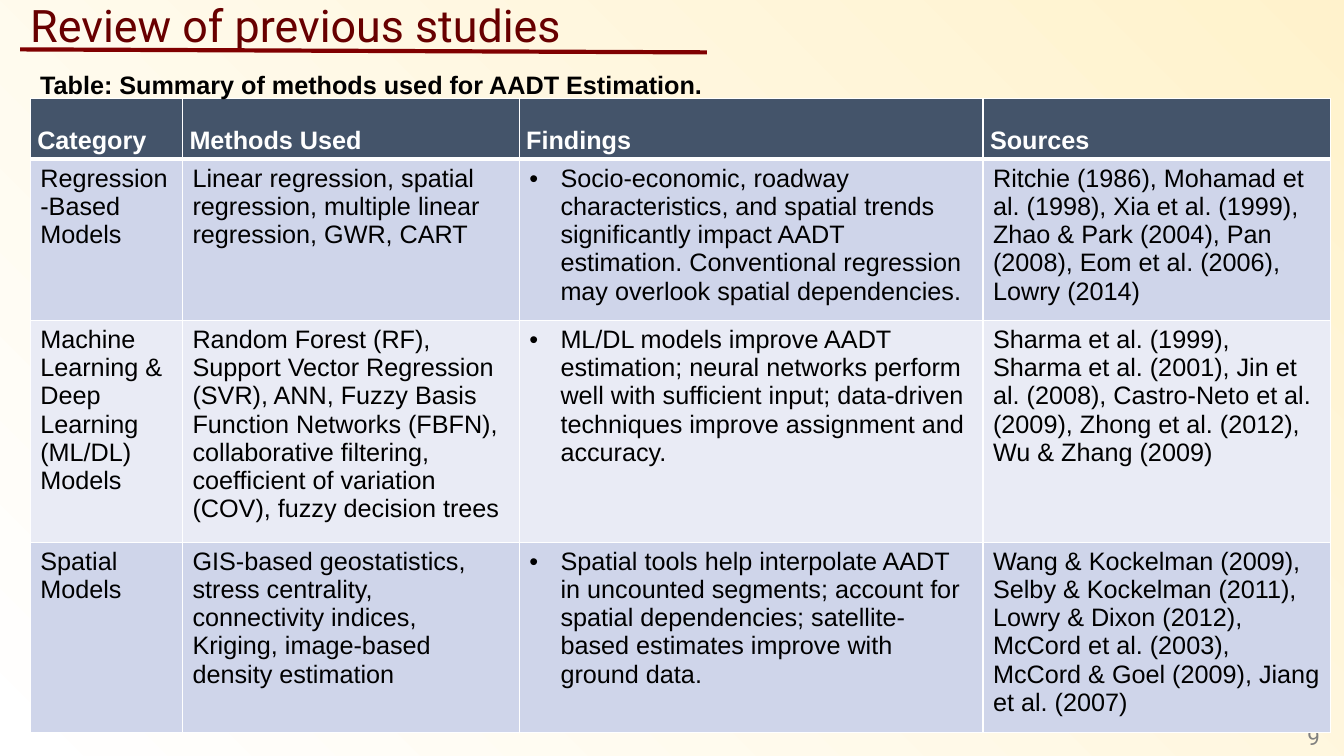
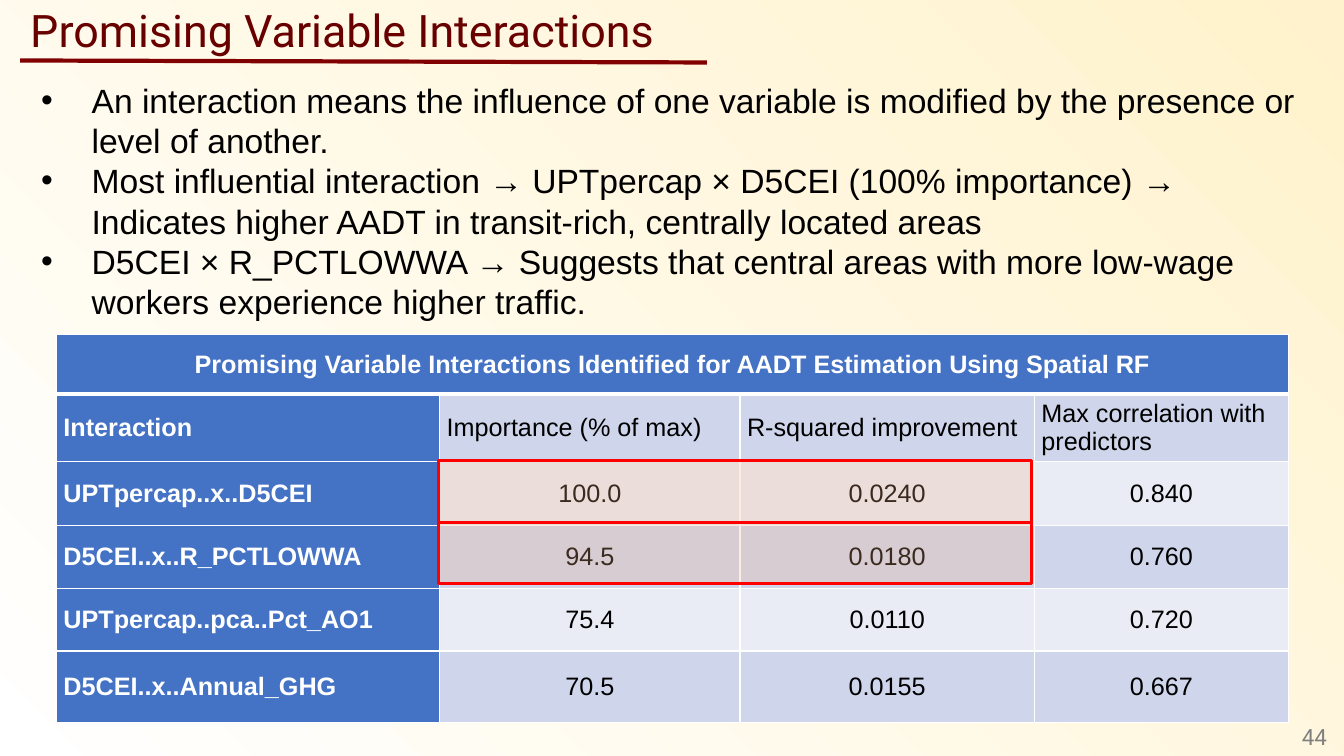
from dataclasses import dataclass

from lxml import etree
from pptx import Presentation
from pptx.dml.color import RGBColor
from pptx.enum.shapes import MSO_CONNECTOR, MSO_SHAPE
from pptx.enum.text import MSO_ANCHOR, MSO_AUTO_SIZE, PP_ALIGN
from pptx.oxml.ns import qn
from pptx.presentation import Presentation as Deck
from pptx.slide import Slide
from pptx.table import Table, _Cell
from pptx.text.text import TextFrame, _Paragraph
from pptx.util import Emu, Pt

LEFT, CENTER, RIGHT = PP_ALIGN.LEFT, PP_ALIGN.CENTER, PP_ALIGN.RIGHT
TOP, MIDDLE = MSO_ANCHOR.TOP, MSO_ANCHOR.MIDDLE
NO_AUTOFIT = MSO_AUTO_SIZE.NONE
STRAIGHT, RECTANGLE = MSO_CONNECTOR.STRAIGHT, MSO_SHAPE.RECTANGLE

EMU_PER_PX = 9144
TITLE_ONLY = 5
BODY_FONT, TITLE_FONT = "Arial", "Roboto"
COLORS = {
    "cream": "FFF2CC", "white": "FFFFFF", "black": "000000", "title": "680000",
    "rule": "800000", "number": "808080", "slate": "44546A", "blue": "4472C4",
    "band_dark": "CFD5EA", "band_light": "E9EBF5", "highlight": "F4B183", "red": "FF0000",
}


@dataclass(frozen=True)
class Box:
    left: int
    top: int
    width: int
    height: int

    def emu(self) -> tuple[Emu, ...]:
        return tuple(px(value) for value in (self.left, self.top, self.width, self.height))


@dataclass(frozen=True)
class TextStyle:
    size: int = 18
    color: str = "black"
    font: str = BODY_FONT
    bold: bool = False
    align: PP_ALIGN = LEFT
    spacing: float = 1.0


@dataclass(frozen=True)
class Frame:
    title: str
    title_top: int
    rule_top: int
    rule_drop: int
    number: str
    number_box: Box


TITLE = TextStyle(32, "title", TITLE_FONT)
NUMBER = TextStyle(16, "number", TITLE_FONT, align=RIGHT)
CAPTION = TextStyle(bold=True, spacing=2.0)
BULLETS = TextStyle(24)
CELL = TextStyle()
VALUE = TextStyle(align=CENTER)
LABEL = TextStyle(color="white", bold=True)
BANNER = TextStyle(color="white", bold=True, align=CENTER)
TALL_LABEL = TextStyle(color="white", bold=True, spacing=2.0)

REVIEW = Frame("Review of previous studies", -7, 49, 3, "9", Box(1262, 717, 57, 28))
INTERACTIONS = Frame("Promising Variable Interactions", -2, 60, 2, "44", Box(1269, 711, 57, 40))

STUDY_ROWS = [
    ("Category", "Methods Used", "Findings", "Sources"),
    ("Regression-Based Models",
     "Linear regression, spatial regression, multiple linear regression, GWR, CART",
     "Socio-economic, roadway characteristics, and spatial trends significantly impact AADT "
     "estimation. Conventional regression may overlook spatial dependencies.",
     "Ritchie (1986), Mohamad et al. (1998), Xia et al. (1999), Zhao & Park (2004), "
     "Pan (2008), Eom et al. (2006), Lowry (2014)"),
    ("Machine Learning & Deep Learning (ML/DL) Models",
     "Random Forest (RF), Support Vector Regression (SVR), ANN, Fuzzy Basis Function Networks "
     "(FBFN), collaborative filtering, coefficient of variation (COV), fuzzy decision trees",
     "ML/DL models improve AADT estimation; neural networks perform well with sufficient input; "
     "data-driven techniques improve assignment and accuracy.",
     "Sharma et al. (1999), Sharma et al. (2001), Jin et al. (2008), Castro-Neto et al. (2009), "
     "Zhong et al. (2012), Wu & Zhang (2009)"),
    ("Spatial Models",
     "GIS-based geostatistics, stress centrality, connectivity indices, Kriging, "
     "image-based density estimation",
     "Spatial tools help interpolate AADT in uncounted segments; account for spatial "
     "dependencies; satellite-based estimates improve with ground data.",
     "Wang & Kockelman (2009), Selby & Kockelman (2011), Lowry & Dixon (2012), "
     "McCord et al. (2003), McCord & Goel (2009), Jiang et al. (2007)"),
]
INTERACTION_ROWS = [
    ("Promising Variable Interactions Identified for AADT Estimation Using Spatial RF", "", "", ""),
    ("Interaction", "Importance (% of max)", "R-squared improvement",
     "Max correlation with predictors"),
    ("UPTpercap..x..D5CEI", "100.0", "0.0240", "0.840"),
    ("D5CEI..x..R_PCTLOWWA", "94.5", "0.0180", "0.760"),
    ("UPTpercap..pca..Pct_AO1", "75.4", "0.0110", "0.720"),
    ("D5CEI..x..Annual_GHG", "70.5", "0.0155", "0.667"),
]
INTERACTION_BULLETS = [
    ("An interaction means the influence of one variable is modified by the presence or level "
     "of another.",),
    ("Most influential interaction → UPTpercap × D5CEI (100% importance) ", "→",
     " Indicates higher AADT in transit-rich, centrally located areas"),
    ("D5CEI × R_PCTLOWWA → Suggests that central areas with more low-wage workers experience "
     "higher traffic.",),
]


def px(value: int) -> Emu:
    return Emu(value * EMU_PER_PX)


def rgb(name: str) -> RGBColor:
    return RGBColor.from_string(COLORS[name])


def format_paragraph(paragraph: _Paragraph, style: TextStyle) -> None:
    paragraph.alignment = style.align
    paragraph.line_spacing = style.spacing
    for run in paragraph.runs:
        run.font.name = style.font
        run.font.size = Pt(style.size)
        run.font.bold = style.bold
        run.font.color.rgb = rgb(style.color)


def add_bullet(paragraph: _Paragraph, margin: int, hanging: int) -> None:
    properties = paragraph._p.get_or_add_pPr()
    properties.set("marL", str(px(margin)))
    properties.set("indent", str(px(-hanging)))
    etree.SubElement(properties, qn("a:buFont"), typeface=BODY_FONT)
    etree.SubElement(properties, qn("a:buChar"), char="•")


def prepare_frame(text_frame: TextFrame, anchor: MSO_ANCHOR) -> None:
    text_frame.word_wrap = True
    text_frame.auto_size = NO_AUTOFIT
    text_frame.vertical_anchor = anchor


def add_text(slide: Slide, box: Box, text: str, style: TextStyle,
             anchor: MSO_ANCHOR = TOP) -> TextFrame:
    text_frame = slide.shapes.add_textbox(*box.emu()).text_frame
    prepare_frame(text_frame, anchor)
    text_frame.text = text
    format_paragraph(text_frame.paragraphs[0], style)
    return text_frame


def add_frame_slide(presentation: Deck, frame: Frame) -> Slide:
    slide = presentation.slides.add_slide(presentation.slide_layouts[TITLE_ONLY])
    title = slide.shapes.title
    title.left, title.top, title.width, title.height = Box(20, frame.title_top, 1003, 64).emu()
    prepare_frame(title.text_frame, TOP)
    title.text_frame.text = frame.title
    format_paragraph(title.text_frame.paragraphs[0], TITLE)
    rule = slide.shapes.add_connector(
        STRAIGHT, px(20), px(frame.rule_top), px(701), px(frame.rule_top + frame.rule_drop))
    rule.line.color.rgb = rgb("rule")
    rule.line.width = Pt(3)
    etree.SubElement(rule._element.spPr, qn("a:effectLst"))
    add_text(slide, frame.number_box, frame.number, NUMBER, MIDDLE)
    return slide


def add_borders(cell: _Cell, row_index: int) -> None:
    properties = cell._tc.get_or_add_tcPr()
    thick_side = {0: "lnB", 1: "lnT"}.get(row_index)
    for side in ("lnL", "lnR", "lnT", "lnB"):
        width = Pt(3 if side == thick_side else 1)
        border = etree.SubElement(properties, qn(f"a:{side}"), w=str(width))
        fill = etree.SubElement(border, qn("a:solidFill"))
        etree.SubElement(fill, qn("a:srgbClr"), val=COLORS["white"])


def format_cell(cell: _Cell, text: str, style: TextStyle, fill: str) -> None:
    cell.fill.solid()
    cell.fill.fore_color.rgb = rgb(fill)
    cell.text_frame.text = text
    format_paragraph(cell.text_frame.paragraphs[0], style)


def make_compact(cell: _Cell, anchor: MSO_ANCHOR) -> None:
    cell.margin_left = cell.margin_right = px(7)
    cell.margin_top = cell.margin_bottom = px(0)
    cell.vertical_anchor = anchor


def band(row_index: int) -> str:
    return "band_dark" if row_index % 2 else "band_light"


def add_grid(slide: Slide, left: int, top: int, widths: list[int], heights: list[int]) -> Table:
    box = Box(left, top, sum(widths), sum(heights))
    table = slide.shapes.add_table(len(heights), len(widths), *box.emu()).table
    for column, width in zip(table.columns, widths):
        column.width = px(width)
    for row_index, (row, height) in enumerate(zip(table.rows, heights)):
        row.height = px(height)
        for cell in row.cells:
            add_borders(cell, row_index)
    return table


def build_review(presentation: Deck) -> None:
    slide = add_frame_slide(presentation, REVIEW)
    table = add_grid(slide, 30, 98, [151, 334, 460, 345], [60, 160, 220, 189])
    for row_index, texts in enumerate(STUDY_ROWS):
        for column_index, text in enumerate(texts):
            cell = table.cell(row_index, column_index)
            if row_index == 0:
                format_cell(cell, text, TALL_LABEL, "slate")
                make_compact(cell, TOP)
                continue
            format_cell(cell, text, CELL, band(row_index))
            if column_index == 2:
                add_bullet(cell.text_frame.paragraphs[0], 31, 31)
    add_text(slide, Box(30, 34, 1090, 61), "Table: Summary of methods used for AADT Estimation.",
             CAPTION)


def add_interaction_bullets(slide: Slide) -> None:
    text_frame = add_text(slide, Box(24, 74, 1285, 293), "", BULLETS)
    for index, pieces in enumerate(INTERACTION_BULLETS):
        paragraph = text_frame.add_paragraph() if index else text_frame.paragraphs[0]
        for piece in pieces:
            paragraph.add_run().text = piece
        format_paragraph(paragraph, BULLETS)
        for run in paragraph.runs[1:2]:
            run.font.bold = True
        add_bullet(paragraph, 57, 50)


def add_highlight(slide: Slide, box: Box) -> None:
    shape = slide.shapes.add_shape(RECTANGLE, *box.emu())
    shape.shadow.inherit = False
    shape.fill.solid()
    shape.fill.fore_color.rgb = rgb("highlight")
    color = shape._element.spPr.find(f"{qn('a:solidFill')}/{qn('a:srgbClr')}")
    etree.SubElement(color, qn("a:alpha"), val="24000")
    shape.line.color.rgb = rgb("red")
    shape.line.width = Pt(2.25)


def build_interactions(presentation: Deck) -> None:
    slide = add_frame_slide(presentation, INTERACTIONS)
    add_interaction_bullets(slide)
    table = add_grid(slide, 56, 332, [380, 298, 292, 252], [59, 67, 63, 63, 62, 71])
    table.cell(0, 0).merge(table.cell(0, 3))
    for row_index, texts in enumerate(INTERACTION_ROWS):
        for column_index, text in enumerate(texts):
            cell = table.cell(row_index, column_index)
            if row_index == 0:
                style, fill = BANNER, "blue"
            elif column_index == 0:
                style, fill = LABEL, "blue"
            else:
                style, fill = CELL if row_index == 1 else VALUE, band(row_index)
            format_cell(cell, text, style, fill)
            make_compact(cell, MIDDLE)
    for index in range(2):
        add_highlight(slide, Box(435, 457 + 61 * index, 588, 61))


def main() -> None:
    presentation = Presentation()
    presentation.slide_width, presentation.slide_height = px(1333), px(750)
    background = presentation.slide_master.background.fill
    background.gradient()
    background.gradient_angle = 225
    for stop, name in zip(background.gradient_stops, ("cream", "white")):
        stop.color.rgb = rgb(name)
    build_review(presentation)
    build_interactions(presentation)
    presentation.save("out.pptx")


if __name__ == "__main__":
    main()
